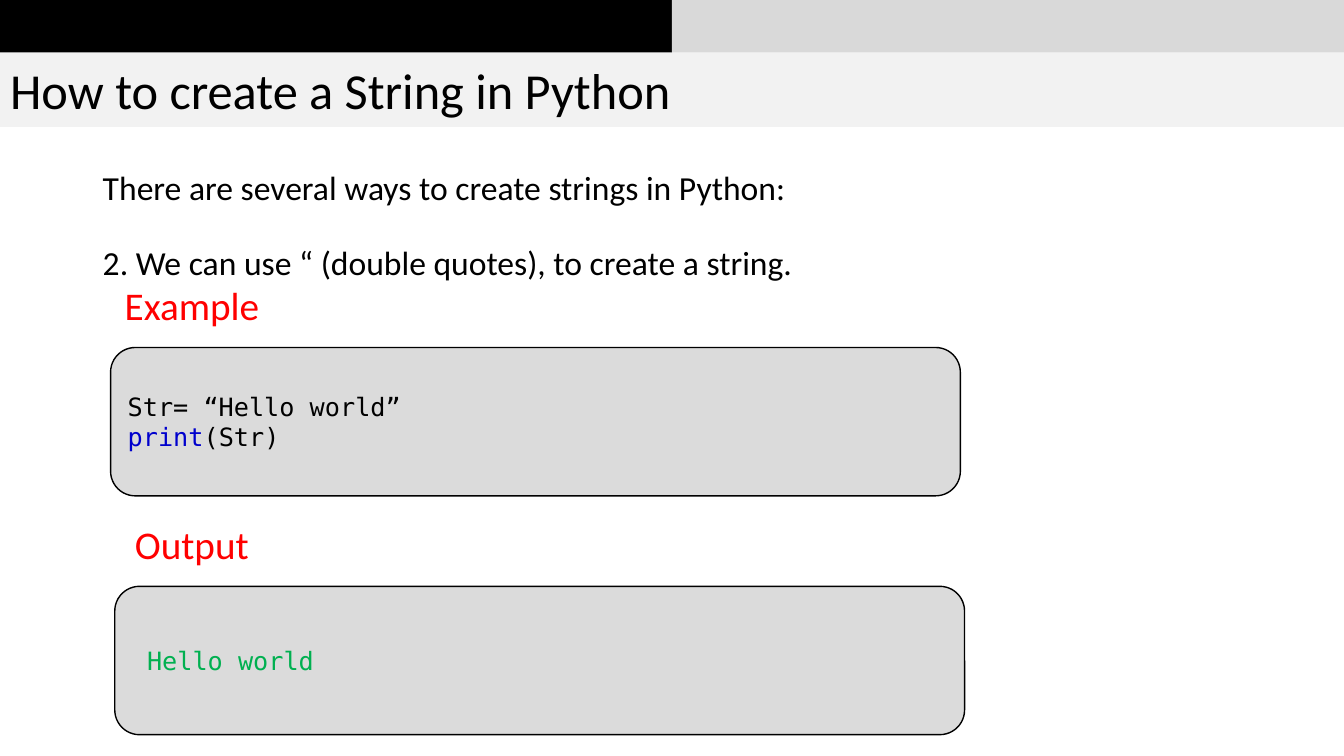
"""Build a slide that shows how to create a string in Python."""
from pptx import Presentation
from pptx.dml.color import RGBColor
from pptx.enum.shapes import MSO_SHAPE
from pptx.enum.text import MSO_ANCHOR, MSO_AUTO_SIZE, PP_ALIGN
from pptx.oxml import parse_xml
from pptx.oxml.ns import nsdecls
from pptx.util import Pt

RECT, ROUND = MSO_SHAPE.RECTANGLE, MSO_SHAPE.ROUNDED_RECTANGLE
TOP, MIDDLE = MSO_ANCHOR.TOP, MSO_ANCHOR.MIDDLE
LEFT, FIXED = PP_ALIGN.LEFT, MSO_AUTO_SIZE.NONE
BLACK, RED, BLUE, GREEN = "000000", "FF0000", "0000CD", "00B050"


def paint(target, color):
    target.solid()
    target.fore_color.rgb = RGBColor.from_string(color)


def write(frame, lines, size, font="Calibri", color=BLACK, anchor=TOP,
          spacing=None, before=0, indent=0):
    frame.word_wrap, frame.auto_size = True, FIXED
    frame.vertical_anchor = anchor
    for i, runs in enumerate(lines):
        para = frame.paragraphs[0] if i == 0 else frame.add_paragraph()
        para.alignment, para.line_spacing = LEFT, spacing
        para.space_before = Pt(before)
        props = para._p.get_or_add_pPr()
        props.set("marL", str(Pt(indent)))
        props.set("indent", "0")
        props.append(parse_xml(f"<a:buNone {nsdecls('a')}/>"))
        for text, tint in runs:
            run = para.add_run()
            run.text = text
            run.font.size, run.font.name = Pt(size), font
            paint(run.font.fill, tint or color)


class Deck:
    def __init__(self):
        self.show = Presentation()
        self.show.slide_width, self.show.slide_height = Pt(960), Pt(540)
        self.slide = self.show.slides.add_slide(self.show.slide_layouts[1])

    def place(self, index, box):
        holder = self.slide.placeholders[index]
        holder.left, holder.top, holder.width, holder.height = map(Pt, box)
        return holder

    def title(self, text, box):
        holder = self.place(0, box)
        paint(holder.fill, "F2F2F2")
        write(holder.text_frame, [[(text, None)]], 36, anchor=MIDDLE)

    def body(self, lines, box):
        frame = self.place(1, box).text_frame
        write(frame, [[(text, None)] for text in lines], 24,
              spacing=1.5, before=10)

    def shape(self, kind, box, fill):
        shape = self.slide.shapes.add_shape(kind, *map(Pt, box))
        shape.shadow.inherit = False
        paint(shape.fill, fill)
        shape.line.fill.background()
        return shape

    def label(self, text, box):
        frame = self.slide.shapes.add_textbox(*map(Pt, box)).text_frame
        write(frame, [[(text, None)]], 28, color=RED)

    def code(self, lines, left, top, indent=0):
        panel = self.shape(ROUND, (left, top, 607, 106), "DBDBDB")
        paint(panel.line.fill, BLACK)
        panel.line.width = Pt(1)
        write(panel.text_frame, lines, 18, font="DejaVu Sans Mono",
              anchor=MIDDLE, indent=indent)


deck = Deck()
for left, fill in ((0, BLACK), (480, "D9D9D9")):
    deck.shape(RECT, (left, 0, 480, 37.4), fill)
deck.title("How to create a String in Python", (0, 37.4, 960, 53.3))
deck.body(["There are several ways to create strings in Python:",
           "2. We can use “ (double quotes), to create a string."],
          (66.2, 101.5, 828, 364.3))
deck.label("Example", (82, 197.3, 118, 41))
deck.code([[("Str= “Hello world”", None)],
           [("print", BLUE), ("(Str)", None)]], 79, 248.2)
deck.label("Output", (89.3, 368, 110, 41))
deck.code([[("Hello world", GREEN)]], 82, 418.8, indent=10.8)
deck.show.save("out.pptx")
